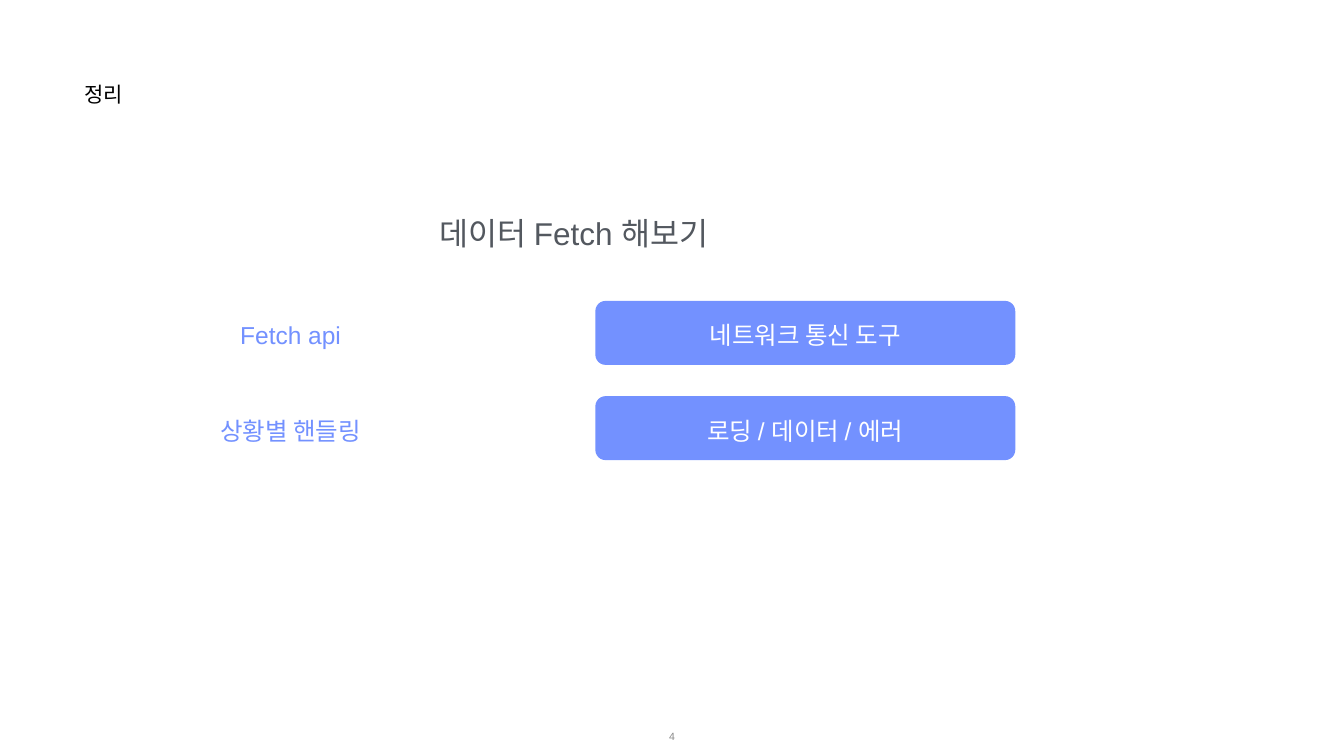
from dataclasses import dataclass

from pptx import Presentation
from pptx.dml.color import RGBColor
from pptx.enum.shapes import MSO_SHAPE
from pptx.enum.text import MSO_ANCHOR, PP_ALIGN
from pptx.util import Inches, Pt


@dataclass(frozen=True)
class Theme:
    font: str = "Arial"
    black: str = "000000"
    white: str = "FFFFFF"
    blue: str = "7391FF"
    gray: str = "53585F"
    light_gray: str = "888888"
    title: int = 30
    heading: int = 45
    body: int = 35
    number: int = 15


THEME = Theme()
ROWS = [
    ("Fetch api", "네트워크 통신 도구"),
    ("상황별 핸들링", "로딩 / 데이터 / 에러"),
]


def set_text(shape, text, size, color, align=PP_ALIGN.CENTER,
             anchor=MSO_ANCHOR.MIDDLE, inset=0.01, top_inset=None):
    tf = shape.text_frame
    tf.word_wrap = True
    tf.vertical_anchor = anchor
    tf.margin_left = tf.margin_right = tf.margin_bottom = Inches(inset)
    tf.margin_top = Inches(inset if top_inset is None else top_inset)
    p = tf.paragraphs[0]
    p.alignment = align
    p.space_before = Pt(0)
    r = p.add_run()
    r.text = text
    r.font.name = THEME.font
    r.font.size = Pt(size)
    r.font.color.rgb = RGBColor.from_string(color)


def add_text(s, box, text, **fmt):
    set_text(s.shapes.add_textbox(*map(Inches, box)), text, **fmt)


def place_title(s, box, text):
    title = s.shapes.title
    title.left, title.top, title.width, title.height = map(Inches, box)
    set_text(title, text, THEME.title, THEME.black,
             align=PP_ALIGN.LEFT, anchor=MSO_ANCHOR.TOP)


def add_summary_row(s, box, label, answer):
    """Put a plain label on the left and a filled answer pill on the right."""
    left, top, width, height = box
    label_w, pill_w = 6.25, 8.33
    add_text(s, (left, top, label_w, height), label, size=THEME.body,
             color=THEME.blue, top_inset=0.1)
    pill = s.shapes.add_shape(
        MSO_SHAPE.ROUNDED_RECTANGLE,
        *map(Inches, (left + width - pill_w, top, pill_w, height)))
    pill.adjustments[0] = 0.16
    pill.shadow.inherit = False
    pill.fill.solid()
    pill.fill.fore_color.rgb = RGBColor.from_string(THEME.blue)
    pill.line.fill.background()
    set_text(pill, answer, THEME.body, THEME.white, top_inset=0.1)


def add_summary(s, box, heading, rows):
    left, top, width, height = box
    row_h, pitch = 1.27, 1.89
    add_text(s, (left, top, width, 0.79), heading, size=THEME.heading,
             color=THEME.gray, anchor=MSO_ANCHOR.TOP)
    first = top + height - row_h - pitch * (len(rows) - 1)
    for i, (label, answer) in enumerate(rows):
        add_summary_row(s, (left, first + i * pitch, width, row_h),
                        label, answer)


def main():
    prs = Presentation()
    prs.slide_width, prs.slide_height = Inches(26.66), Inches(15)
    s = prs.slides.add_slide(prs.slide_layouts[5])
    place_title(s, (1.67, 1.6, 4.86, 1.18), "정리")
    add_summary(s, (2.64, 4.24, 17.5, 4.89), "데이터 Fetch 해보기", ROWS)
    add_text(s, (10.33, 14.21, 6, 0.79), "4", size=THEME.number,
             color=THEME.light_gray, inset=0.05)
    prs.save("out.pptx")


if __name__ == "__main__":
    main()
